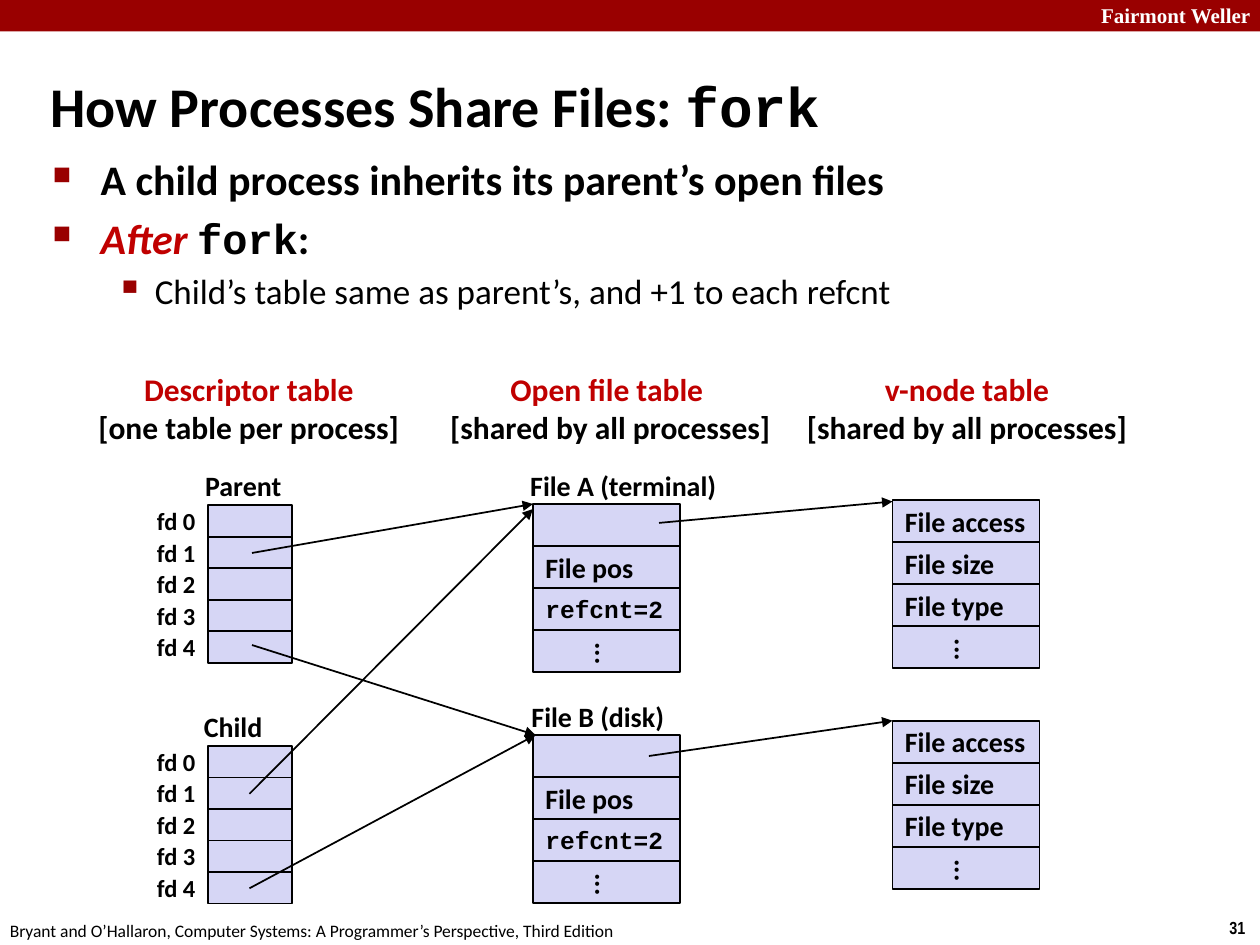
from lxml.etree import SubElement
from pptx import Presentation
from pptx.dml.color import RGBColor
from pptx.enum.shapes import MSO_CONNECTOR as Connector, MSO_SHAPE as Shape
from pptx.enum.text import MSO_ANCHOR as Anchor, MSO_AUTO_SIZE as AutoSize, PP_ALIGN as Align
from pptx.oxml.ns import qn
from pptx.util import Pt

BLACK = RGBColor(0x00, 0x00, 0x00)
WHITE = RGBColor(0xFF, 0xFF, 0xFF)
BANNER = RGBColor(0x99, 0x00, 0x00)
RED = RGBColor(0xC0, 0x00, 0x00)
LAVENDER = RGBColor(0xD6, 0xD6, 0xF5)
SANS, MONO = "Calibri", "Courier New"


def run(text, size, font=SANS, color=BLACK, bold=True, italic=False):
    return text, size, font, color, bold, italic


TITLE = [run("How Processes Share Files: ", 32), run("fork", 32, MONO)]
BULLETS = [
    ("■", 60, 27.36, 27.36, [run("A child process inherits its parent’s open files", 24)]),
    ("■", 60, 27.36, 27.36, [run("After ", 24, color=RED, italic=True),
                             run("fork", 24, MONO), run(":", 24)]),
    ("▪", 110, 58.32, 22.32,
     [run("Child’s table same as parent’s, and +1 to each refcnt", 20, bold=False)]),
]
HEADINGS = [
    (48.24, 187.92, "Descriptor table", "[one table per process]"),
    (249.12, 199.44, "Open file table ", "[shared by all processes]"),
    (452.88, 199.44, "v-node table", "[shared by all processes]"),
]
FURNITURE = [
    (622.08, -2.16, 102.96, 21.6, True, run("Fairmont Weller", 12, "Times New Roman", WHITE)),
    (695.52, 520.56, 24.48, 19.44, False, run("31", 10, "Arial Narrow")),
    (-1.44, 522, 365.76, 19.44, False,
     run("Bryant and O’Hallaron, Computer Systems: A Programmer’s Perspective, Third Edition",
         10, bold=False)),
]
LABELS = [
    ("Parent", 110.16, 264.24, 58.32),
    ("Child", 109.44, 401.76, 48.24),
    ("File A (terminal)", 295.92, 264.24, 121.68),
    ("File B (disk)", 296.64, 396, 91.44),
]
DESCRIPTORS = [f"fd {number}" for number in range(5)]
DESCRIPTOR_TOPS = (288.72, 426.24)
DESCRIPTOR_LEFT, DESCRIPTOR_WIDTH, DESCRIPTOR_HEIGHT = 118.8, 48, 18
DOTS = "..."
OPEN_FILE = [None, run("File pos", 16), run("refcnt=2", 14, MONO), run(DOTS, 16)]
V_NODE = [run(text, 16) for text in ("File access", "File size", "File type", DOTS)]
RECORDS = [
    (304.56, 288, OPEN_FILE), (304.56, 420, OPEN_FILE),
    (510, 285.84, V_NODE), (510, 411.84, V_NODE),
]
RECORD_WIDTH, RECORD_HEIGHT = 84, 24
ARROWS = [
    (144, 316, 304.56, 288),
    (144, 368.6, 306, 420),
    (376.6, 298.8, 510, 286.6),
    (370.8, 432, 510, 411.84),
    (142.56, 453.6, 304.56, 290.9),
    (142.56, 507.6, 306, 420),
]


def add_run(paragraph, content):
    text, size, font, color, bold, italic = content
    item = paragraph.add_run()
    item.text = text
    item.font.size = Pt(size)
    item.font.name = font
    item.font.color.rgb = color
    item.font.bold = bold
    item.font.italic = italic


def fill_frame(frame, paragraphs, anchor, align, wrap, grow=False):
    frame.word_wrap = wrap
    frame.vertical_anchor = anchor
    frame.auto_size = AutoSize.SHAPE_TO_FIT_TEXT if grow else AutoSize.NONE
    for index, runs in enumerate(paragraphs):
        paragraph = frame.paragraphs[0] if index == 0 else frame.add_paragraph()
        paragraph.alignment = align
        for content in runs:
            add_run(paragraph, content)


def add_text(slide, box, paragraphs, anchor=Anchor.MIDDLE, align=Align.LEFT,
             wrap=False, grow=False):
    shape = slide.shapes.add_textbox(*map(Pt, box))
    fill_frame(shape.text_frame, paragraphs, anchor, align, wrap, grow)
    return shape


def add_box(slide, box, fill, line=None, content=None):
    shape = slide.shapes.add_shape(Shape.RECTANGLE, *map(Pt, box))
    shape.shadow.inherit = False
    shape.fill.solid()
    shape.fill.fore_color.rgb = fill
    if line is None:
        shape.line.fill.background()
    else:
        shape.line.color.rgb = line
        shape.line.width = Pt(1)
    if content:
        fill_frame(shape.text_frame, [[content]], Anchor.MIDDLE, Align.LEFT, False)
        if content[0] == DOTS:
            shape.element.txBody.bodyPr.set("vert", "eaVert")


def add_bullets(slide):
    shape = add_text(slide, (23.04, 84.24, 654.48, 102.24),
                     [runs for *_, runs in BULLETS], Anchor.TOP, wrap=True)
    for paragraph, (mark, percent, margin, hanging, runs) in zip(
            shape.text_frame.paragraphs, BULLETS):
        paragraph.space_before = Pt(runs[0][1] * 0.2)
        properties = paragraph._p.get_or_add_pPr()
        properties.set("marL", str(Pt(margin)))
        properties.set("indent", str(-Pt(hanging)))
        color = SubElement(properties, qn("a:buClr"))
        SubElement(color, qn("a:srgbClr"), val=str(BANNER))
        SubElement(properties, qn("a:buSzPct"), val=str(percent * 1000))
        SubElement(properties, qn("a:buChar"), char=mark)


def add_arrow(slide, ends):
    connector = slide.shapes.add_connector(Connector.STRAIGHT, *map(Pt, ends))
    connector.line.color.rgb = BLACK
    connector.line.width = Pt(1)
    SubElement(connector.line._get_or_add_ln(), qn("a:tailEnd"), type="triangle")
    SubElement(connector.element.spPr, qn("a:effectLst"))


def add_descriptor_table(slide, top):
    for row, name in enumerate(DESCRIPTORS):
        y = top + row * DESCRIPTOR_HEIGHT
        size = (DESCRIPTOR_WIDTH, DESCRIPTOR_HEIGHT)
        add_box(slide, (DESCRIPTOR_LEFT, y, *size), LAVENDER, BLACK)
        add_text(slide, (DESCRIPTOR_LEFT - DESCRIPTOR_WIDTH, y, *size),
                 [[run(name, 14)]], align=Align.RIGHT)


def add_record(slide, left, top, cells):
    for row, content in enumerate(cells):
        add_box(slide, (left, top + row * RECORD_HEIGHT, RECORD_WIDTH, RECORD_HEIGHT),
                LAVENDER, BLACK, content)


def main():
    presentation = Presentation()
    presentation.slide_width, presentation.slide_height = Pt(720), Pt(540)
    slide = presentation.slides.add_slide(presentation.slide_layouts[6])
    add_box(slide, (0, 0, 720, 18), BANNER)
    for *box, wrap, content in FURNITURE:
        add_text(slide, box, [[content]], Anchor.TOP, wrap=wrap, grow=True)
    add_text(slide, (21.6, 30.24, 597.6, 59.76), [TITLE], wrap=True)
    add_bullets(slide)
    for left, width, name, scope in HEADINGS:
        add_text(slide, (left, 207.36, width, 51.12),
                 [[run(name, 18, color=RED)], [run(scope, 18)]],
                 align=Align.CENTER, grow=True)
    for top in DESCRIPTOR_TOPS:
        add_descriptor_table(slide, top)
    for record in RECORDS:
        add_record(slide, *record)
    for text, left, top, width in LABELS:
        add_text(slide, (left, top, width, 26.64), [[run(text, 16)]], grow=True)
    for ends in ARROWS:
        add_arrow(slide, ends)
    presentation.save("out.pptx")


if __name__ == "__main__":
    main()
